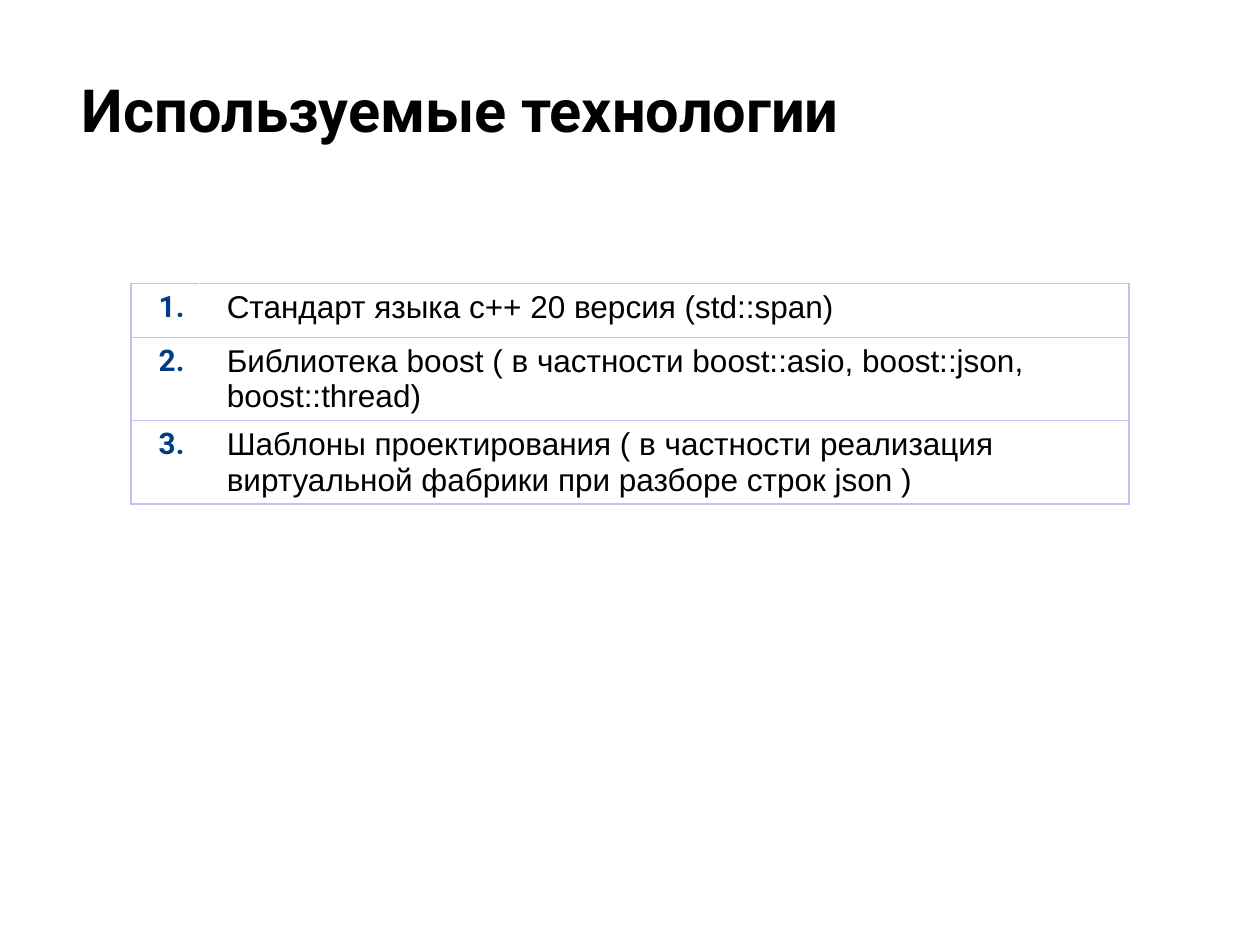
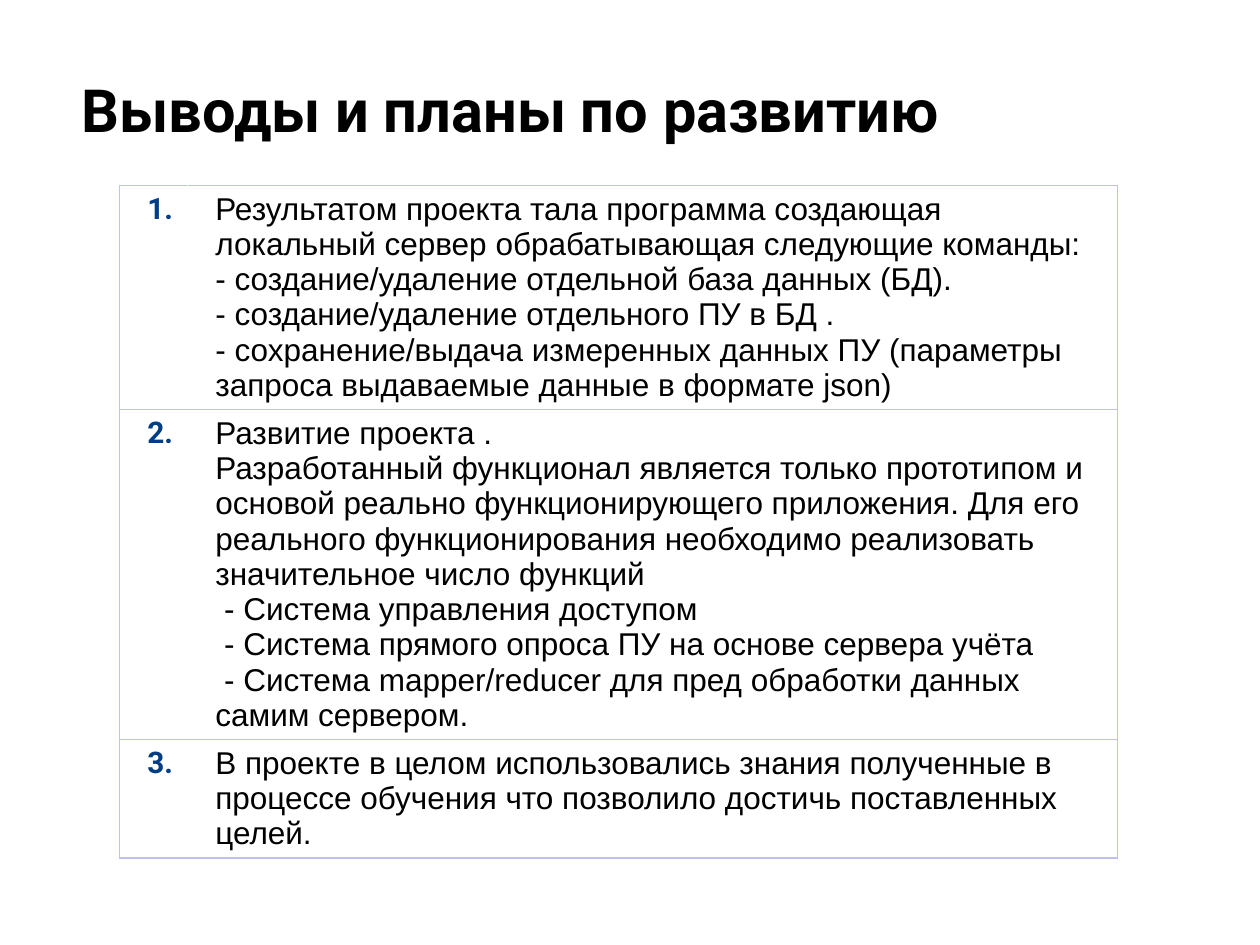
from dataclasses import dataclass

from lxml import etree
from pptx import Presentation
from pptx import util as u
from pptx.dml import color as c
from pptx.enum import text as t
from pptx.oxml import ns


@dataclass(frozen=True)
class TextStyle:
    font: str
    size: int
    color: str
    bold: bool


@dataclass(frozen=True)
class Theme:
    title: TextStyle = TextStyle("Roboto", 34, "000000", True)
    number: TextStyle = TextStyle("Roboto", 17, "013D85", True)
    body: TextStyle = TextStyle("Arial", 18, "000000", False)
    background: str = "FFFFFF"
    grid: str = "BFC1F0"
    divider: str = "FFFFFF"
    line_width: float = 0.75


@dataclass(frozen=True)
class Item:
    height: float
    paragraphs: tuple[str, ...]


@dataclass(frozen=True)
class ListSlide:
    title: str
    title_height: float
    left: float
    top: float
    items: tuple[Item, ...]


THEME = Theme()
COLUMN_WIDTHS = (0.54, 7.38)
TITLE_INSET = u.Inches(0.1)
CELL_MARGINS = {
    "margin_left": u.Inches(0.22),
    "margin_right": u.Inches(0.1),
    "margin_top": u.Inches(0.05),
    "margin_bottom": u.Inches(0.05),
    "vertical_anchor": t.MSO_ANCHOR.TOP,
}
TITLE_FRAME = {
    "margin_left": TITLE_INSET,
    "margin_right": TITLE_INSET,
    "margin_top": TITLE_INSET,
    "margin_bottom": TITLE_INSET,
    "vertical_anchor": t.MSO_ANCHOR.TOP,
    "word_wrap": True,
    "auto_size": t.MSO_AUTO_SIZE.NONE,
}

SLIDES = (
    ListSlide("Используемые технологии", 1.43, 1.04, 2.25, (
        Item(0.43, ("Стандарт языка с++ 20 версия (std::span)",)),
        Item(0.66, ("Библиотека boost ( в частности boost::asio, boost::json, boost::thread)",)),
        Item(0.66, ("Шаблоны проектирования ( в частности реализация "
                    "виртуальной фабрики при разборе строк json )",)),
    )),
    ListSlide("Выводы и планы по развитию", 0.89, 0.95, 1.47, (
        Item(1.78, (
            "Результатом проекта тала программа создающая "
            "локальный сервер обрабатывающая следующие команды:",
            "- создание/удаление отдельной база данных (БД).",
            "- создание/удаление отдельного ПУ в БД .",
            "- сохранение/выдача измеренных данных ПУ (параметры "
            "запроса выдаваемые данные в формате json)",
        )),
        Item(2.62, (
            "Развитие проекта .",
            "Разработанный функционал является только прототипом и "
            "основой реально функционирующего приложения. Для его "
            "реального функционирования необходимо реализовать "
            "значительное число функций",
            " - Система управления доступом",
            " - Система прямого опроса ПУ на основе сервера учёта",
            " - Система mapper/reducer для пред обработки данных самим сервером.",
        )),
        Item(0.94, ("В проекте в целом использовались знания полученные в "
                    "процессе обучения что позволило достичь поставленных целей.",)),
    )),
)


def apply_format(target, values: dict) -> None:
    for name, value in values.items():
        setattr(target, name, value)


def write_text(frame, paragraphs: tuple[str, ...], style: TextStyle) -> None:
    for index, content in enumerate(paragraphs):
        paragraph = frame.paragraphs[0] if index == 0 else frame.add_paragraph()
        paragraph.alignment = t.PP_ALIGN.LEFT
        run = paragraph.add_run()
        run.text = content
        apply_format(run.font, {"name": style.font, "size": u.Pt(style.size), "bold": style.bold})
        run.font.color.rgb = c.RGBColor.from_string(style.color)


def set_borders(cell, colors: dict[str, str]) -> None:
    """Border lines come before the fill in the cell properties."""
    properties = cell._tc.get_or_add_tcPr()
    for index, (side, color) in enumerate(colors.items()):
        line = etree.Element(ns.qn(f"a:ln{side}"), w=str(u.Pt(THEME.line_width)))
        fill = etree.SubElement(line, ns.qn("a:solidFill"))
        etree.SubElement(fill, ns.qn("a:srgbClr"), val=color)
        properties.insert(index, line)


def add_title(slide, content: ListSlide) -> None:
    title = slide.shapes.title
    apply_format(title, {
        "left": u.Inches(0.55),
        "top": u.Inches(0.48),
        "width": u.Inches(9.32),
        "height": u.Inches(content.title_height),
    })
    apply_format(title.text_frame, TITLE_FRAME)
    write_text(title.text_frame, (content.title,), THEME.title)


def fill_cell(cell, paragraphs: tuple[str, ...], style: TextStyle, left: str, right: str) -> None:
    apply_format(cell, CELL_MARGINS)
    write_text(cell.text_frame, paragraphs, style)
    cell.fill.background()
    set_borders(cell, {"L": left, "R": right, "T": THEME.grid, "B": THEME.grid})


def add_numbered_table(slide, content: ListSlide) -> None:
    table = slide.shapes.add_table(
        len(content.items), len(COLUMN_WIDTHS),
        u.Inches(content.left), u.Inches(content.top),
        u.Inches(sum(COLUMN_WIDTHS)), u.Inches(sum(item.height for item in content.items)),
    ).table
    apply_format(table, {"first_row": False, "horz_banding": False})
    for column, width in zip(table.columns, COLUMN_WIDTHS):
        column.width = u.Inches(width)
    for index, item in enumerate(content.items):
        table.rows[index].height = u.Inches(item.height)
        fill_cell(table.cell(index, 0), (f"{index + 1}.",), THEME.number, THEME.grid, THEME.divider)
        fill_cell(table.cell(index, 1), item.paragraphs, THEME.body, THEME.divider, THEME.grid)


def main() -> None:
    presentation = Presentation()
    presentation.slide_width = u.Inches(10)
    presentation.slide_height = u.Inches(7.5)

    # Shared background
    background = presentation.slide_master.background.fill
    background.solid()
    background.fore_color.rgb = c.RGBColor.from_string(THEME.background)

    # Title and numbered table on each slide
    title_only = presentation.slide_layouts.get_by_name("Title Only")
    for content in SLIDES:
        slide = presentation.slides.add_slide(title_only)
        add_title(slide, content)
        add_numbered_table(slide, content)

    presentation.save("out.pptx")


if __name__ == "__main__":
    main()
